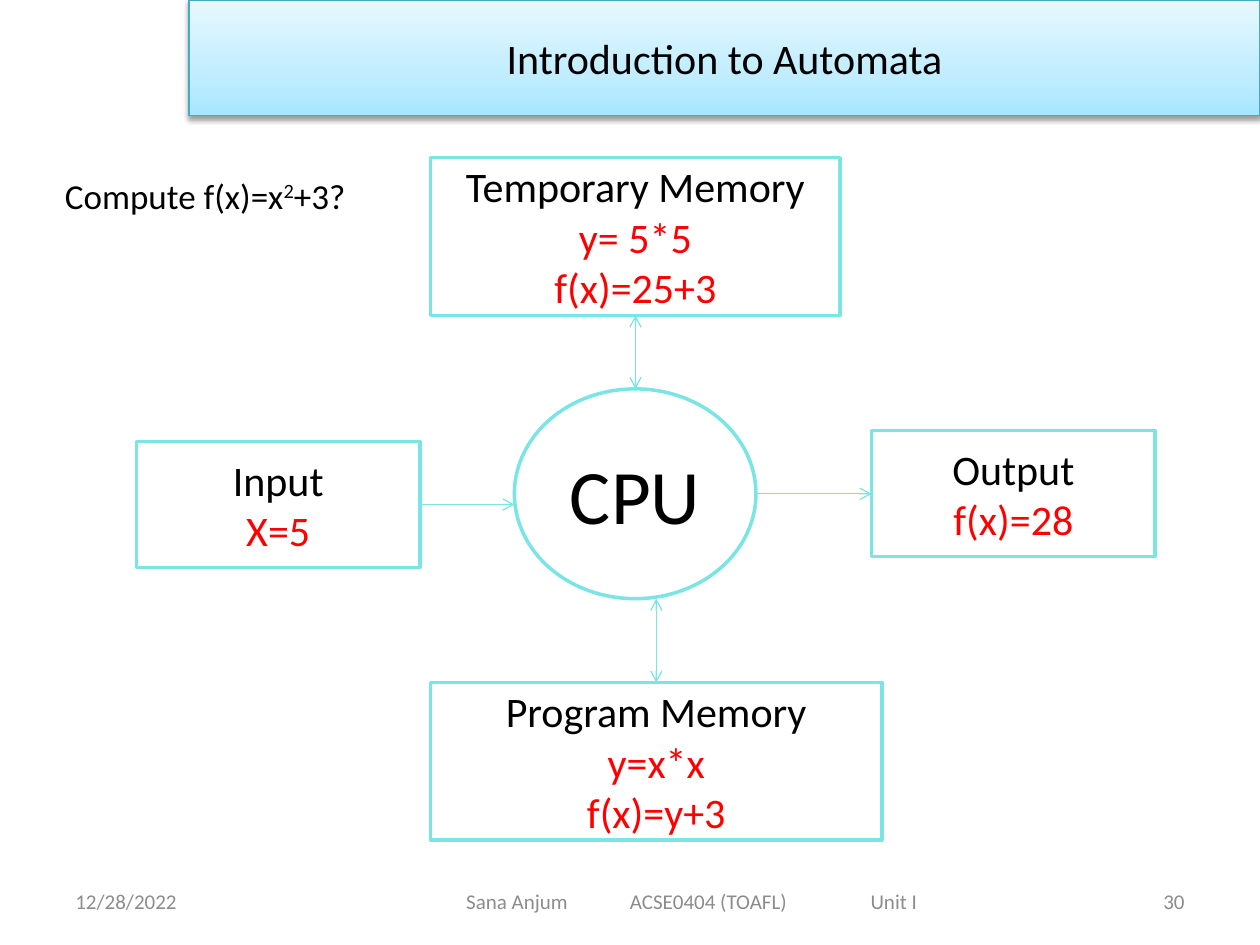
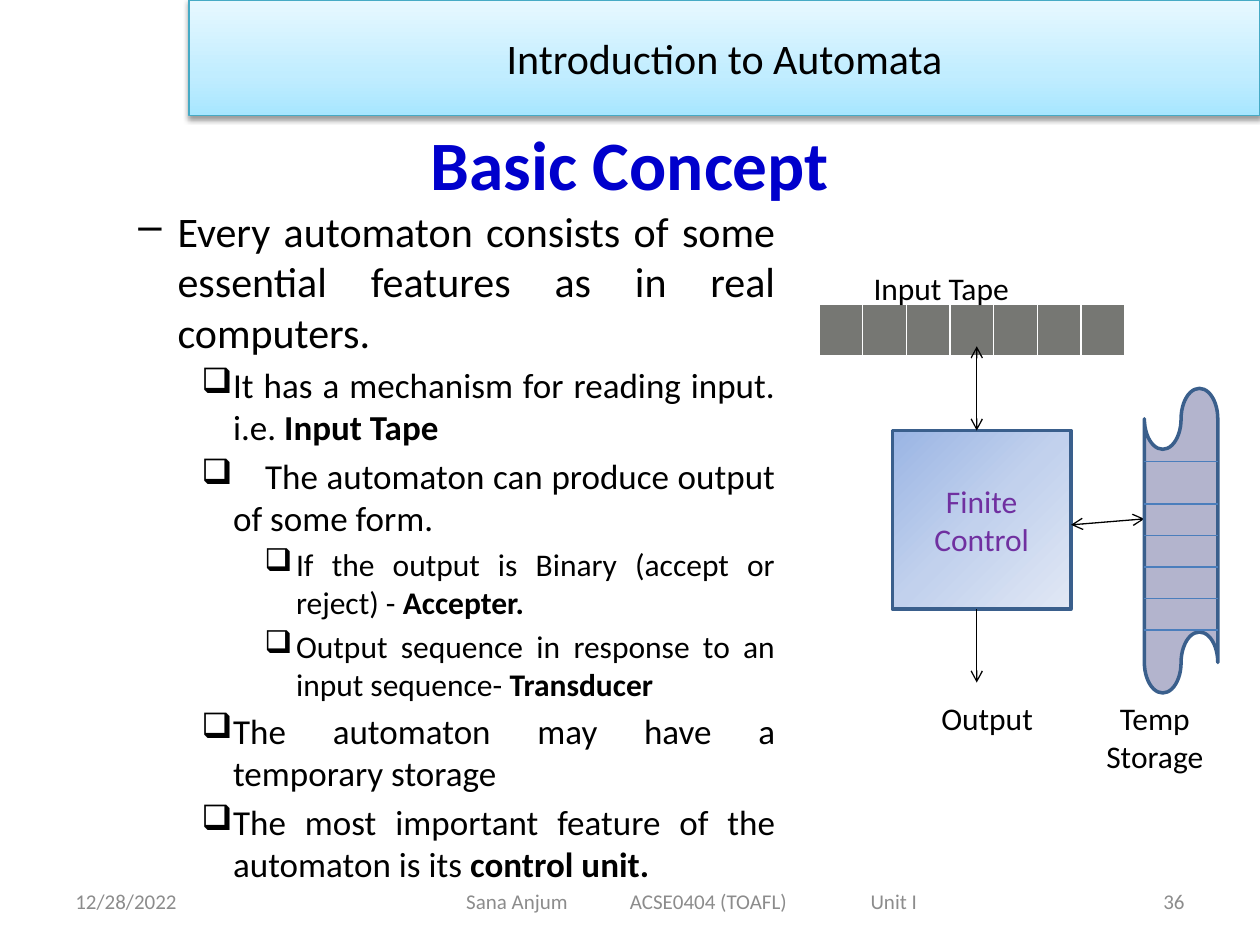
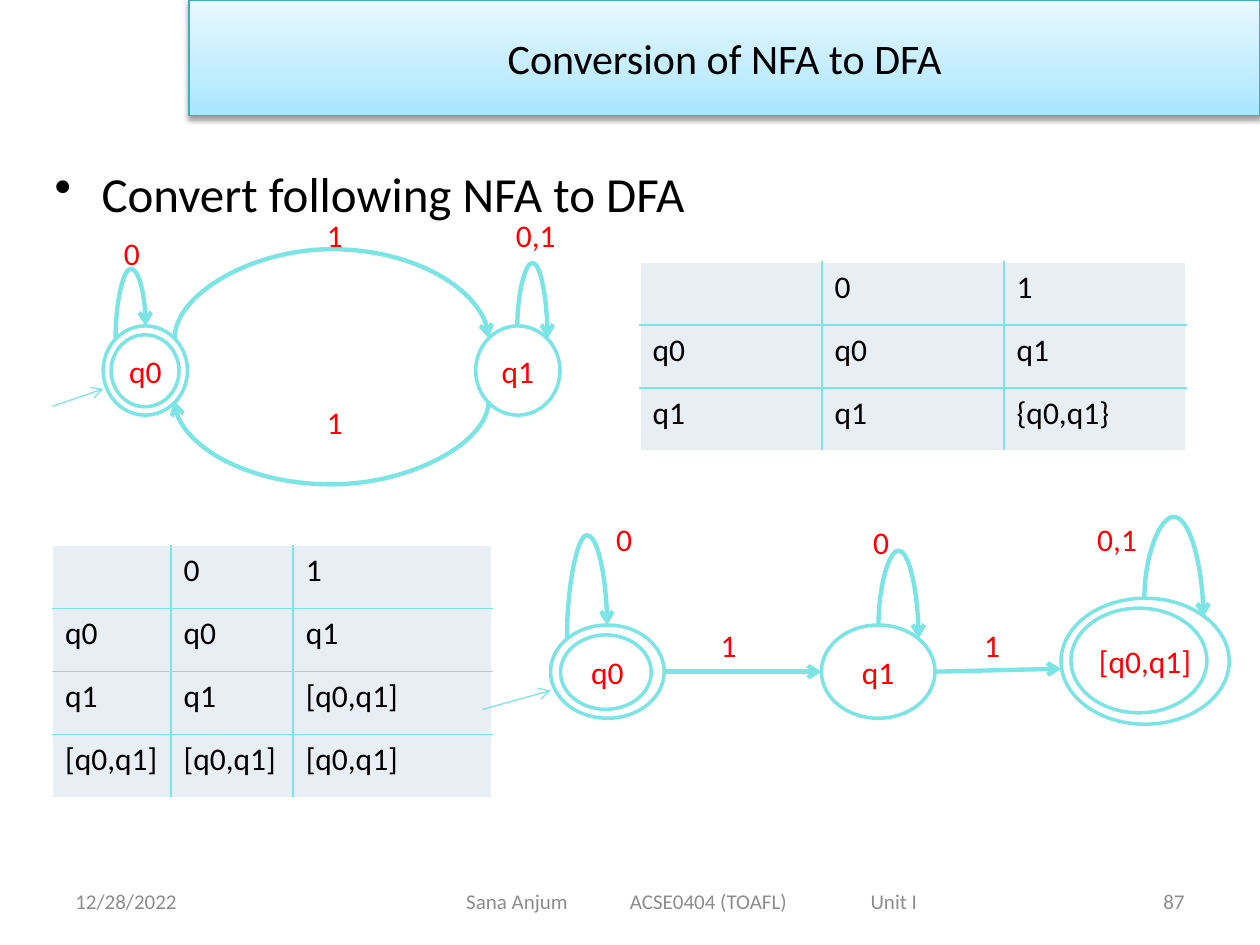
from dataclasses import dataclass

from pptx import Presentation
from pptx import util as u
from pptx.dml.color import RGBColor
from pptx.enum import shapes, text
from pptx.oxml import parse_xml
from pptx.oxml.ns import nsdecls, qn

Cm, Pt = u.Cm, u.Pt
LEFT, CENTER = text.PP_ALIGN.LEFT, text.PP_ALIGN.CENTER
RIGHT, JUSTIFY = text.PP_ALIGN.RIGHT, text.PP_ALIGN.JUSTIFY
TOP, MIDDLE = text.MSO_ANCHOR.TOP, text.MSO_ANCHOR.MIDDLE
KIND = shapes.MSO_SHAPE
LINK = shapes.MSO_CONNECTOR


@dataclass(frozen=True)
class Theme:
    font: str = "Calibri"
    # Colours
    ink: str = "000000"
    white: str = "FFFFFF"
    red: str = "FF0000"
    aqua: str = "7BE5E5"
    heading: str = "0000CC"
    footer: str = "8C8C8C"
    band_line: str = "46AAC5"
    band_stops: tuple = ((0, "A7E6FF"), (35, "C1EDFF"), (100, "E7F8FF"))
    machine_line: str = "3A5F8C"
    control_stops: tuple = ((0, "9AB5E4"), (50, "C2D1ED"), (100, "E1E8F5"))
    control_text: str = "7030A0"
    storage: str = "B3B4CD"
    storage_rule: str = "4B7EBC"
    tape: str = "767773"
    cell: str = "E9EDF4"
    # Type sizes
    cpu_size: float = 44
    heading_size: float = 39.6
    task_size: float = 28
    main_size: float = 24
    point_size: float = 20
    label_size: float = 18
    footer_size: float = 12
    # Line widths
    thin: float = 0.75
    outline: float = 2
    bold_line: float = 2.5


T = Theme()


def rgb(colour):
    return RGBColor.from_string(colour)


def xml(tag, attributes="", inner=""):
    return parse_xml(f"<a:{tag} {nsdecls('a')} {attributes}>{inner}</a:{tag}>")


# Text

def add_run(paragraph, words, size, colour, **formats):
    run = paragraph.add_run()
    run.text = words
    raised = formats.pop("raised", False)
    values = {"name": T.font, "size": Pt(size), "bold": False, **formats}
    for name, value in values.items():
        setattr(run.font, name, value)
    run.font.color.rgb = rgb(colour)
    if raised:
        run.font._element.set("baseline", "30000")


def write(shape, lines, size=T.label_size, colour=T.ink, align=LEFT,
          anchor=TOP, wrap=True, **formats):
    """Each line is a string or a (string, colour) pair."""
    frame = shape.text_frame
    settings = {"word_wrap": wrap, "vertical_anchor": anchor,
                "auto_size": text.MSO_AUTO_SIZE.NONE}
    for name, value in settings.items():
        setattr(frame, name, value)
    for number, line in enumerate(lines):
        words, ink = (line, colour) if isinstance(line, str) else line
        paragraph = frame.add_paragraph() if number else frame.paragraphs[0]
        paragraph.alignment = align
        add_run(paragraph, words, size, ink, **formats)
    return frame


def add_bullet(paragraph, mark, margin, hanging):
    properties = paragraph._p.get_or_add_pPr()
    properties.set("marL", str(Cm(margin)))
    properties.set("indent", str(-Cm(hanging)))
    properties.append(xml("buChar", f'char="{mark}"'))


# Fills and lines

def fill_gradient(shape, stops, direction):
    shape.fill.background()
    marks = "".join(f'<a:gs pos="{place * 1000}"><a:srgbClr val="{colour}"/></a:gs>'
                    for place, colour in stops)
    properties = shape.element.spPr
    gradient = xml("gradFill", 'rotWithShape="1"', f"<a:gsLst>{marks}</a:gsLst>{direction}")
    properties.replace(properties.find(qn("a:noFill")), gradient)


def set_line(shape, colour, width):
    shape.line.color.rgb = rgb(colour)
    shape.line.width = Pt(width)


class Region:
    """Part of a slide; its parts are placed in cm from its top left corner."""

    def __init__(self, slide, left=0, top=0):
        self.shapes, self.left, self.top = slide.shapes, left, top

    def point(self, x, y):
        return Cm(self.left + x), Cm(self.top + y)

    def frame(self, box):
        x, y, width, height = box
        return *self.point(x, y), Cm(width), Cm(height)

    def shape(self, kind, box, line=T.aqua, width=T.outline, fill=None):
        part = self.shapes.add_shape(kind, *self.frame(box))
        part.shadow.inherit = False
        if fill:
            part.fill.solid()
            part.fill.fore_color.rgb = rgb(fill)
        else:
            part.fill.background()
        set_line(part, line, width)
        return part

    def text(self, box, lines, **formats):
        return write(self.shapes.add_textbox(*self.frame(box)), lines, **formats)

    def line(self, start, end, colour=T.aqua, width=T.thin, heads=(), kind=LINK.STRAIGHT):
        link = self.shapes.add_connector(kind, *self.point(*start), *self.point(*end))
        set_line(link, colour, width)
        properties = link.element.spPr
        for head in heads:
            properties.find(qn("a:ln")).append(xml(head, 'type="arrow"'))
        properties.append(xml("effectLst"))
        return link

    def arrow(self, start, end, both=False, **formats):
        heads = ("headEnd", "tailEnd") if both else ("tailEnd",)
        return self.line(start, end, heads=heads, **formats)

    def arc(self, start, end, peak):
        """Curved arrow that leaves upright and turns at the height peak."""
        (x1, y1), (x2, y2) = start, end
        if x2 < x1:
            turn, flips, sign = 90, (), 1
        elif y2 > y1:
            turn, flips, sign = 270, ("flipH",), 1
        else:
            turn, flips, sign = 90, ("flipH", "flipV"), -1
        rise, run = max(abs(y2 - y1), 0.01), abs(x2 - x1)
        x, y = (x1 + x2 - rise) / 2, (y1 + y2 - run) / 2
        link = self.arrow((x, y), (x + rise, y + run), width=T.bold_line, kind=LINK.CURVE)
        properties = link.element.spPr
        place = properties.find(qn("a:xfrm"))
        place.set("rot", str(turn * 60000))
        for flip in flips:
            place.set(flip, "1")
        bend = round((peak - y1) / (sign * rise) * 100000)
        geometry = properties.find(qn("a:prstGeom"))
        geometry.replace(geometry.find(qn("a:avLst")),
                         xml("avLst", inner=f'<a:gd name="adj1" fmla="val {bend}"/>'))

    def table(self, x, y, columns, row_height, rows, fill, rule):
        size = sum(columns), row_height * len(rows)
        grid = self.shapes.add_table(len(rows), len(columns), *self.frame((x, y, *size))).table
        grid.first_row = grid.horz_banding = False
        for column, width in zip(grid.columns, columns):
            column.width = Cm(width)
        for r, row in enumerate(rows):
            for c, words in enumerate(row):
                cell = grid.cell(r, c)
                if words:
                    add_run(cell.text_frame.paragraphs[0], words, T.label_size, T.ink)
                # Rules inside the grid only; they go before the fill
                inner = {"lnL": c > 0, "lnR": c < len(columns) - 1,
                         "lnT": r > 0, "lnB": r < len(rows) - 1}
                properties = cell._tc.get_or_add_tcPr()
                for side in (name for name, shown in inner.items() if shown):
                    properties.append(xml(side, f'w="{Pt(1)}"',
                                          f'<a:solidFill><a:srgbClr val="{rule}"/></a:solidFill>'))
                cell.fill.solid()
                cell.fill.fore_color.rgb = rgb(fill)


# Shared slide parts

def draw_band(shape, words):
    shape.left, shape.top, shape.width, shape.height = Cm(3.81), 0, Cm(21.59), Cm(2.33)
    fill_gradient(shape, T.band_stops, '<a:lin ang="16200000" scaled="1"/>')
    set_line(shape, T.band_line, T.thin)
    shape.shadow.inherit = False
    shape.element.spPr.find(qn("a:effectLst")).append(xml(
        "outerShdw", f'blurRad="{Pt(3.1)}" dist="{Pt(1.6)}" dir="5400000" rotWithShape="0"',
        '<a:srgbClr val="000000"><a:alpha val="38000"/></a:srgbClr>'))
    write(shape, [words], T.main_size, align=CENTER, anchor=MIDDLE)


def draw_footer(slide, page):
    footer = Region(slide, 1.27, 17.65)
    look = {"size": T.footer_size, "colour": T.footer, "anchor": MIDDLE}
    footer.text((0, 0, 5.92, 1.02), ["12/28/2022"], **look)
    course = footer.text((5.72, 0, 13.97, 1.02), ["Sana Anjum\tACSE0404 (TOAFL)\tUnit I"], **look)
    course.margin_left = Cm(2.41)
    stops = "".join(f'<a:tab pos="{Cm(stop)}" algn="l"/>' for stop in (3.3, 8.15))
    course.paragraphs[0]._p.get_or_add_pPr().append(xml("tabLst", inner=stops))
    footer.text((16.94, 0, 5.92, 1.02), [str(page)], align=RIGHT, **look)


def new_slide(deck, page):
    slide = deck.slides.add_slide(deck.slide_layouts[5])
    draw_footer(slide, page)
    return slide


# Slide 1: computer model

def draw_computer(region):
    cpu = (7.62, 4.66, 4.87, 4.23)
    source = (0, 5.72, 5.72, 2.54)
    program = (5.93, 10.58, 9.1, 3.18)
    result = (14.82, 5.5, 5.72, 2.54)
    memory = (5.93, 0, 8.26, 3.18)
    centred = {"align": CENTER, "anchor": MIDDLE}
    write(region.shape(KIND.OVAL, cpu), ["CPU"], T.cpu_size, **centred)
    for box, name, *values in (
            (source, "Input", "X=5"),
            (program, "Program Memory", "y=x*x", "f(x)=y+3"),
            (result, "Output", "f(x)=28"),
            (memory, "Temporary Memory", "y= 5*5", "f(x)=25+3")):
        lines = [name, *((value, T.red) for value in values)]
        write(region.shape(KIND.RECTANGLE, box), lines, T.main_size, **centred)

    # Data flow between the facing edges
    def middle(box):
        return box[0] + box[2] / 2, box[1] + box[3] / 2

    input_y, output_y = middle(source)[1], middle(cpu)[1]
    memory_x, program_x = middle(memory)[0], middle(program)[0]
    region.arrow((source[0] + source[2], input_y), (cpu[0], input_y))
    region.arrow((cpu[0] + cpu[2], output_y), (result[0], output_y))
    region.arrow((memory_x, memory[1] + memory[3]), (memory_x, cpu[1]), both=True)
    region.arrow((program_x, cpu[1] + cpu[3]), (program_x, program[1]), both=True)


def build_computer_slide(deck):
    slide = new_slide(deck, 30)
    draw_band(slide.shapes.title, "Introduction to Automata")
    draw_computer(Region(slide, 2.75, 3.18))
    question = Region(slide).text((1.06, 3.39, 6.77, 1.12), ["Compute f(x)=x"], size=T.point_size)
    add_run(question.paragraphs[0], "2", T.point_size, T.ink, raised=True)
    add_run(question.paragraphs[0], "+3?", T.point_size, T.ink)


# Slide 2: basic concept

LEVELS = {  # size, mark, margin, hanging
    1: (T.main_size, "–", 2.06, 0.79),
    2: (T.point_size, "❑", 3.18, 0.64),
    3: (T.label_size, "❑", 4.45, 0.64),
}
FEATURES = (  # level, plain words, bold words
    (1, "Every automaton consists of some essential features as in real computers.", ""),
    (2, "It has a mechanism for reading input. i.e. ", "Input Tape"),
    (2, " \tThe automaton can produce output of some form.", ""),
    (3, "If the output is Binary (accept or reject) - ", "Accepter."),
    (3, "Output sequence in response to an input sequence- ", "Transducer"),
    (2, "The automaton may have a temporary storage", ""),
    (2, "The most important feature of the automaton is its ", "control unit."),
)


def draw_features(region):
    frame = region.text((0, 0, 14.61, 13.12), [])
    for number, (level, plain, strong) in enumerate(FEATURES):
        size, mark, margin, hanging = LEVELS[level]
        paragraph = frame.add_paragraph() if number else frame.paragraphs[0]
        paragraph.level = level
        paragraph.alignment = JUSTIFY
        paragraph.space_before = Pt(0.2 * size if number else 0)
        add_bullet(paragraph, mark, margin, hanging)
        add_run(paragraph, plain, size, T.ink)
        if strong:
            add_run(paragraph, strong, size, T.ink, bold=True)


def draw_machine(region):
    # Input tape and control unit
    region.table(0, 0.85, [0.88] * 7, 1.02, [[""] * 7], T.tape, T.white)
    control = region.shape(KIND.RECTANGLE, (1.48, 3.39, 3.6, 3.6), T.machine_line)
    fill_gradient(control, T.control_stops,
                  '<a:path path="circle"><a:fillToRect r="100000" b="100000"/></a:path>')
    write(control, ["Finite Control"], colour=T.control_text, align=CENTER, anchor=MIDDLE)
    for start, end, both in (((3.18, 1.69), (3.18, 3.39), True),
                             ((3.18, 6.99), (3.18, 8.47), False),
                             ((5.08, 5.29), (6.56, 5.17), True)):
        region.arrow(start, end, both, colour=T.ink)
    # Storage with its ruled cells
    left, width = 6.56, 1.48
    region.shape(KIND.FLOWCHART_PUNCHED_TAPE, (left, 2.54, width, 6.14), T.machine_line,
                 fill=T.storage)
    for y in (4.02, *(4.87 + 0.635 * step for step in range(5))):
        region.line((left, y), (left + width, y), T.storage_rule)
    # Labels
    region.text((0.85, 0, 4.66, 1.02), ["Input Tape"])
    region.text((1.06, 8.68, 4.66, 1.02), ["Output"], align=CENTER)
    region.text((5.29, 8.68, 2.96, 1.8), ["Temp Storage"], align=CENTER)


def build_concept_slide(deck):
    slide = new_slide(deck, 36)
    page = Region(slide)
    heading = slide.shapes.title
    heading.left, heading.top, heading.width, heading.height = page.frame((1.27, 2.54, 22.86, 1.48))
    write(heading, ["Basic Concept"], T.heading_size, T.heading, CENTER, MIDDLE, bold=True)
    draw_features(Region(slide, 1.27, 4.02))
    draw_machine(Region(slide, 16.51, 5.29))
    draw_band(page.shape(KIND.RECTANGLE, (0, 0, 1, 1)), "Introduction to Automata")


# Slide 3: conversion of an NFA

NFA = {
    "states": (("q0", (1.02, 2.34, 1.7, 1.8), (0.16, 0.18, 1.37, 1.45)),
               ("q1", (8.53, 2.34, 1.7, 1.8), None)),
    "entry": ((0, 3.96), (1.02, 3.61)),
    "steps": (),
    "arcs": (((1.27, 2.59), (1.88, 2.34), 1.19),
             ((2.46, 2.59), (8.79, 2.59), 0.79),
             ((8.79, 3.86), (2.46, 3.86), 5.54),
             ((9.37, 2.34), (9.98, 2.59), 1.07)),
    "symbols": (("0", 1.19, 0.36), ("1", 5.28, 0), ("0,1", 9.09, 0), ("1", 5.28, 3.78)),
}
DFA = {
    "states": (("q0", (1.37, 2.24, 2.29, 1.88), (0.2, 0.2, 1.83, 1.5)),
               ("q1", (6.83, 2.24, 2.29, 1.88), None),
               ("[q0,q1]", (11.66, 1.7, 3.39, 2.54), (0.2, 0.2, 2.74, 2.11))),
    "entry": ((0, 3.94), (1.37, 3.56)),
    "steps": (((3.66, 3.18), (6.83, 3.18)), ((9.12, 3.18), (11.66, 3.12))),
    "arcs": (((1.7, 2.51), (2.51, 2.24), 0.43),
             ((7.98, 2.24), (8.79, 2.51), 0.74),
             ((13.34, 1.7), (14.53, 2.08), 0.06)),
    "symbols": (("0", 2.44, 0), ("0", 7.62, 0.05), ("0,1", 12.14, 0),
                ("1", 4.55, 2.13), ("1", 9.86, 2.13)),
}
NFA_TABLE = (("", "0", "1"), ("q0", "q0", "q1"), ("q1", "q1", "{q0,q1}"))
DFA_TABLE = (("", "0", "1"), ("q0", "q0", "q1"), ("q1", "q1", "[q0,q1]"),
             ("[q0,q1]", "[q0,q1]", "[q0,q1]"))


def draw_automaton(region, automaton):
    for name, box, ring in automaton["states"]:
        write(region.shape(KIND.OVAL, box), [name], colour=T.red, align=CENTER,
              anchor=MIDDLE, wrap=False)
        if ring:
            dx, dy, width, height = ring
            region.shape(KIND.OVAL, (box[0] + dx, box[1] + dy, width, height))
    region.arrow(*automaton["entry"])
    for start, end in automaton["steps"]:
        region.arrow(start, end, width=T.bold_line)
    for arc in automaton["arcs"]:
        region.arc(*arc)
    for symbol, x, y in automaton["symbols"]:
        region.text((x, y, 1.65, 1.02), [symbol], colour=T.red)


def build_conversion_slide(deck):
    slide = new_slide(deck, 87)
    page = Region(slide)
    draw_band(slide.shapes.title, "Conversion of NFA to DFA")
    task = page.text((0.85, 3.18, 23.28, 13.97), ["Convert following NFA to DFA"], size=T.task_size)
    add_bullet(task.paragraphs[0], "•", 0.95, 0.95)
    draw_automaton(Region(slide, 1.06, 4.23), NFA)
    page.table(12.9, 5.28, [3.67] * 3, 1.27, NFA_TABLE, T.cell, T.aqua)
    page.table(1.06, 11, [2.39, 2.46, 4.01], 1.27, DFA_TABLE, T.cell, T.aqua)
    draw_automaton(Region(slide, 9.73, 10.36), DFA)


def main():
    deck = Presentation()
    deck.slide_width, deck.slide_height = Cm(25.4), Cm(19.05)
    build_computer_slide(deck)
    build_concept_slide(deck)
    build_conversion_slide(deck)
    deck.save("out.pptx")


if __name__ == "__main__":
    main()
